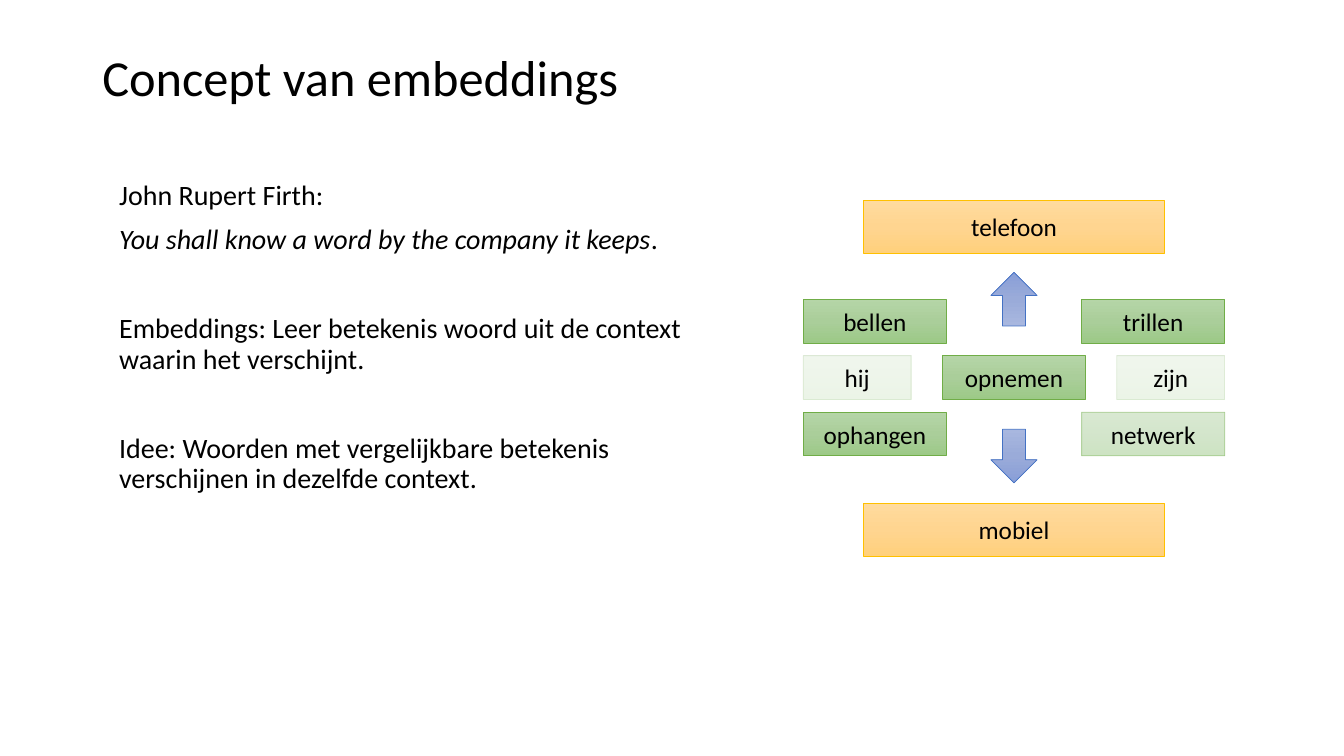
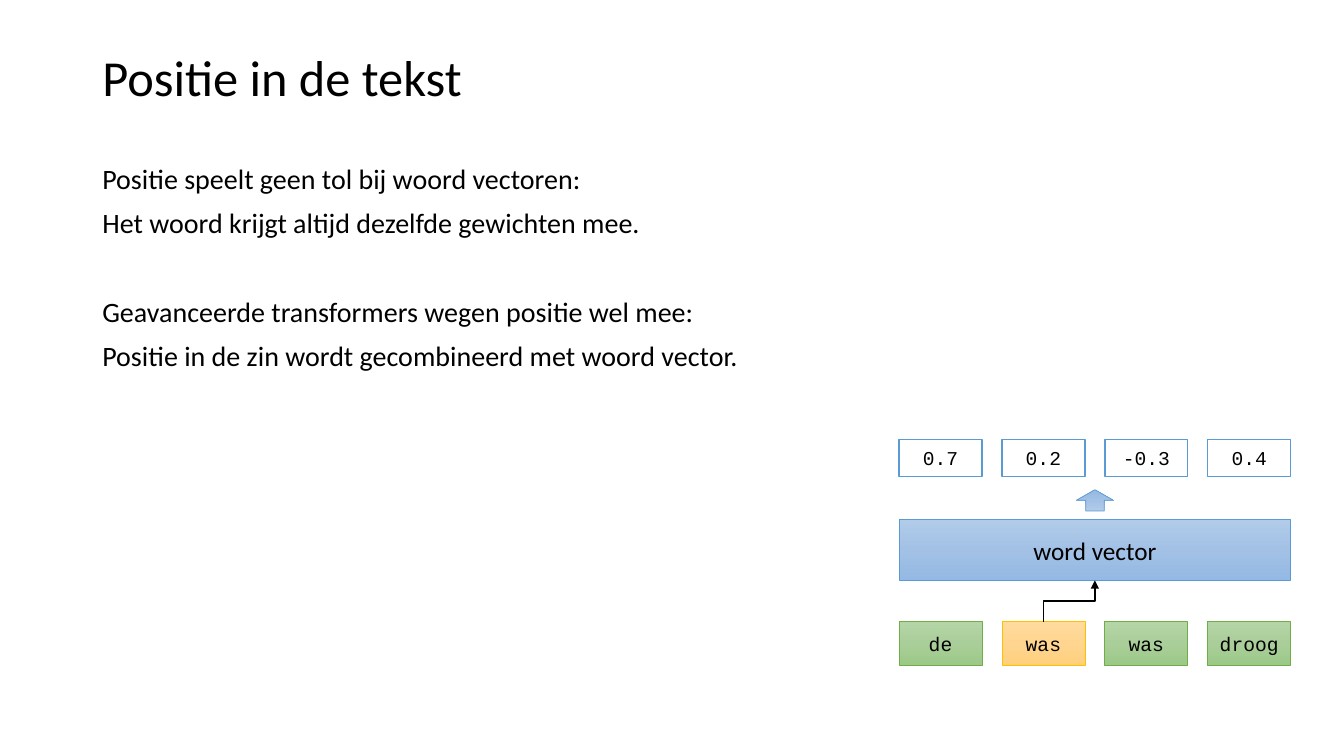
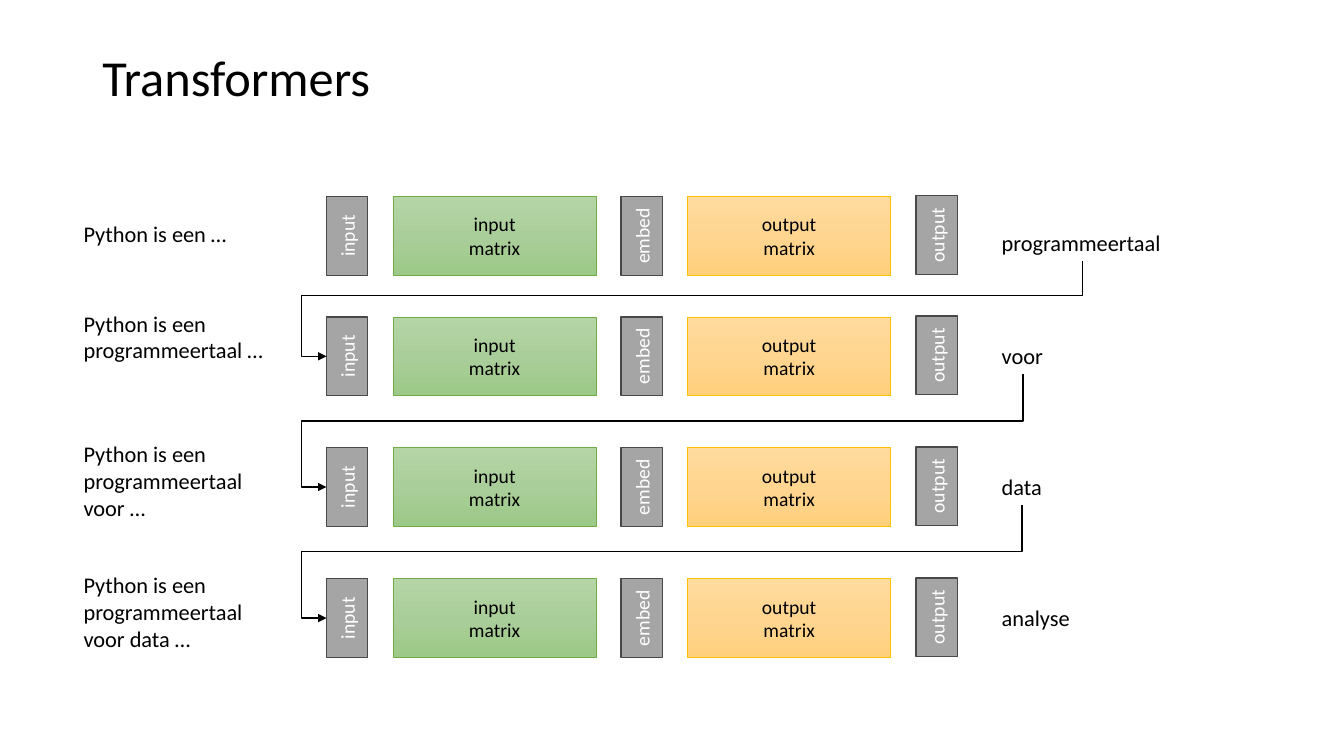
"""Build three slides on word embeddings and transformers."""
from lxml import etree
from pptx import Presentation
from pptx.dml.color import RGBColor
from pptx.enum import shapes, text
from pptx.oxml.ns import qn
from pptx.util import Pt

rgb = RGBColor.from_string
RECT = shapes.MSO_SHAPE.RECTANGLE
ARROW = shapes.MSO_SHAPE.DOWN_ARROW
LEFT, CENTER = text.PP_ALIGN.LEFT, text.PP_ALIGN.CENTER
TOP, MIDDLE = text.MSO_ANCHOR.TOP, text.MSO_ANCHOR.MIDDLE
MONO = "Courier New"
TONES = {
    "orange": ("FFC000", 0.5, ("FFDB9E", "FFD590", "FFD07C")),
    "green": ("70AD47", 0.5, ("B5D5A7", "AACE9A", "9CC987")),
    "indigo": ("4472C4", 0.5, ("A8B7DF", "9AABD9", "889ED7")),
    "blue": ("5B9BD5", 0.5, ("B1CBE9", "A3C1E5", "93B9E4")),
    "white": ("5B9BD5", 1, ("FFFFFF",)),
    "gray": ("484848", 1, ("A5A5A5",)),
}


def write(shape, words, size=18, font="Calibri", color="000000", align=LEFT,
          anchor=TOP, spacing=None, before=(), wrap=True):
    """Fill a shape with one paragraph per line; underscores enclose italics."""
    frame = shape.text_frame
    frame.word_wrap = wrap
    frame.vertical_anchor = anchor
    for i, line in enumerate(words.split("\n")):
        paragraph = frame.add_paragraph() if i else frame.paragraphs[0]
        paragraph.alignment = align
        if spacing:
            paragraph.line_spacing = spacing
        if i and before:
            paragraph.space_before = Pt(before[i])
        for j, piece in enumerate(line.split("_")):
            if piece:
                run = paragraph.add_run()
                run.text = piece
                run.font.size = Pt(size)
                run.font.name = font
                run.font.color.rgb = rgb(color)
                if j % 2:
                    run.font.italic = True


def block(slide, kind, box, tone, words="", opacity=100, **style):
    """Add a filled, outlined shape with centred text."""
    shape = slide.shapes.add_shape(kind, *map(Pt, box))
    shape.shadow.inherit = False
    edge, weight, stops = TONES[tone]
    shape.line.color.rgb = rgb(edge)
    shape.line.width = Pt(weight)
    if len(stops) == 1:
        shape.fill.solid()
        shape.fill.fore_color.rgb = rgb(stops[0])
    else:
        shape.fill.gradient()
        shape.fill.gradient_angle = 270
        stop_list = shape._element.spPr.find(".//" + qn("a:gsLst"))
        stop_list.clear()
        for position, shade in zip((0, 50000, 100000), stops):
            stop = etree.SubElement(stop_list, qn("a:gs"), pos=str(position))
            etree.SubElement(stop, qn("a:srgbClr"), val=shade)
    if opacity < 100:
        for shade in shape._element.spPr.iter(qn("a:srgbClr")):
            etree.SubElement(shade, qn("a:alpha"), val=str(opacity * 1000))
    if words:
        write(shape, words, align=CENTER, anchor=MIDDLE, **style)
    return shape


deck = Presentation()
deck.slide_width, deck.slide_height = Pt(960), Pt(540)
pages = []
for heading in ("Concept van embeddings", "Positie in de tekst", "Transformers"):
    page = deck.slides.add_slide(deck.slide_layouts[6])
    title = page.shapes.add_textbox(Pt(66), Pt(28.8), Pt(828), Pt(57))
    write(title, heading, size=36, anchor=MIDDLE, spacing=0.9)
    pages.append(page)
concept, position_page, transformers = pages

firth = concept.shapes.add_textbox(Pt(78), Pt(126), Pt(426), Pt(373))
write(firth, "John Rupert Firth:\n"
      "_You shall know a word by the company it keeps_.\n"
      "Embeddings: Leer betekenis woord uit de context waarin het verschijnt.\n"
      "Idee: Woorden met vergelijkbare betekenis verschijnen in dezelfde context.",
      size=20, spacing=0.9, before=(0, 10, 42, 42))
for top, word in ((143, "telefoon"), (359.3, "mobiel")):
    block(concept, RECT, (617, top, 214.6, 38.2), "orange", word)
for left, row, width, word, opacity in (
        (573.8, 0, 102.2, "bellen", 100), (772.6, 0, 102.2, "trillen", 100),
        (573.8, 1, 77, "hij", 20), (673.2, 1, 102.2, "opnemen", 100),
        (797.8, 1, 77, "zijn", 20),
        (573.8, 2, 102.2, "ophangen", 100), (772.6, 2, 102.2, "netwerk", 50)):
    block(concept, RECT, (left, 213.8 + 40.3 * row, width, 31.2), "green", word, opacity)
for top, turn in ((194.6, 180), (306.7, 0)):
    block(concept, ARROW, (707.8, top, 33, 38.2), "indigo").rotation = turn

weighting = position_page.shapes.add_textbox(Pt(66), Pt(114.5), Pt(527), Pt(371.5))
write(weighting, "Positie speelt geen tol bij woord vectoren:\n"
      "Het woord krijgt altijd dezelfde gewichten mee.\n"
      "Geavanceerde transformers wegen positie wel mee:\n"
      "Positie in de zin wordt gecombineerd met woord vector.",
      size=20, spacing=0.9, before=(0, 10, 42, 10))
tokens = []
for i, (token, weight) in enumerate(
        (("de", "0.7"), ("was", "0.2"), ("was", "-0.3"), ("droog", "0.4"))):
    left = 642.2 + 73.5 * i
    tone = "orange" if i == 1 else "green"
    tokens.append(block(position_page, RECT, (left, 444, 59.3, 31.2), tone, token,
                        size=14, font=MONO))
    block(position_page, RECT, (left, 313.8, 59.3, 26.8), "white", weight,
          size=14, font=MONO)
vector = block(position_page, RECT, (642.2, 371.2, 279.8, 43.4), "blue", "word vector")
block(position_page, ARROW, (768.8, 349.8, 26.6, 15.2), "blue").rotation = 180
links = [(position_page, tokens[1], 0, vector, 2, None)]

previous = None
for top, prompt, prompt_top, prompt_height, word, word_top, word_width, lane in (
        (140.4, "Python is een …", 13, 28.8, "programmeertaal", 19.4, 129.6, 0),
        (226.4, "Python is een\nprogrammeertaal …", -8.7, 72.7, "voor", 14.4, 44.6, 24.6),
        (319.8, "Python is een\nprogrammeertaal voor …", -8.7, 72.7, "data", 14.4, 43.2, 33.2),
        (413.4, "Python is een\nprogrammeertaal voor data …", -8.7, 72.7, "analyse",
         14.4, 63.4, 33.2)):
    question = transformers.shapes.add_textbox(
        Pt(52.6), Pt(top + prompt_top), Pt(142.6), Pt(prompt_height))
    write(question, prompt, size=16)
    for left, tone, label in ((280.8, "green", "input\nmatrix"),
                              (491.2, "orange", "output\nmatrix")):
        block(transformers, RECT, (left, top, 145, 56.2), tone, label, size=14)
    layers = []
    for left, lift, label in ((233.2, 0, "input"), (443.6, 0, "embed"), (654.4, 0.6, "output")):
        layer = block(transformers, RECT, (left, top - lift, 29.5, 56.2), "gray", label,
                      size=14, color="FFFFFF")
        layer.text_frame._txBody.bodyPr.set("vert", "vert270")
        layers.append(layer)
    answer = transformers.shapes.add_textbox(
        Pt(708.4), Pt(top + word_top), Pt(word_width), Pt(26.7))
    write(answer, word, size=16, wrap=False)
    answer.text_frame.auto_size = text.MSO_AUTO_SIZE.SHAPE_TO_FIT_TEXT
    if previous is not None:
        links.append((transformers, previous, 2, layers[0], 1, lane))
    previous = answer

for page, start, start_side, end, end_side, lane in links:
    link = page.shapes.add_connector(shapes.MSO_CONNECTOR.ELBOW, 0, 0, 0, 0)
    link.begin_connect(start, start_side)
    link.end_connect(end, end_side)
    middle_x = (link.begin_x + link.end_x) // 2
    middle_y = (link.begin_y + link.end_y) // 2
    across = abs(link.end_x - link.begin_x)
    down = abs(link.end_y - link.begin_y)
    link.left, link.top = middle_x - down // 2, middle_y - across // 2
    link.width, link.height = down, across
    link.line.color.rgb = rgb("000000")
    link.line.width = Pt(1)
    properties = link._element.spPr
    frame = properties.find(qn("a:xfrm"))
    flip = "0" if lane else "1"
    for name, value in (("rot", "5400000"), ("flipH", flip), ("flipV", flip)):
        frame.set(name, value)
    if lane:
        geometry = properties.find(qn("a:prstGeom"))
        geometry.set("prst", "bentConnector4")
        for name, share in (("adj1", Pt(lane) / down), ("adj2", 1 + Pt(18) / across)):
            etree.SubElement(geometry.find(qn("a:avLst")), qn("a:gd"), name=name,
                             fmla=f"val {round(share * 100000)}")
    etree.SubElement(properties.find(qn("a:ln")), qn("a:tailEnd"), type="triangle")
    etree.SubElement(properties, qn("a:effectLst"))

deck.save("out.pptx")
